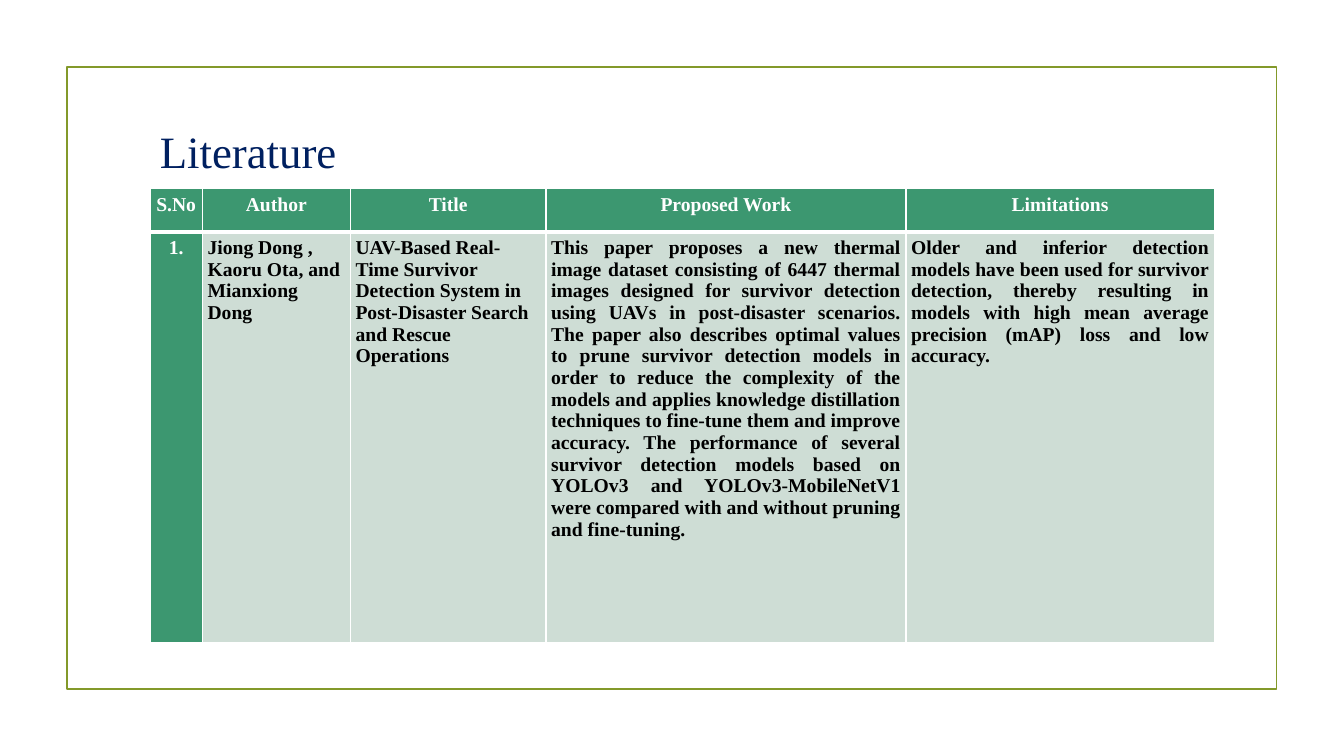
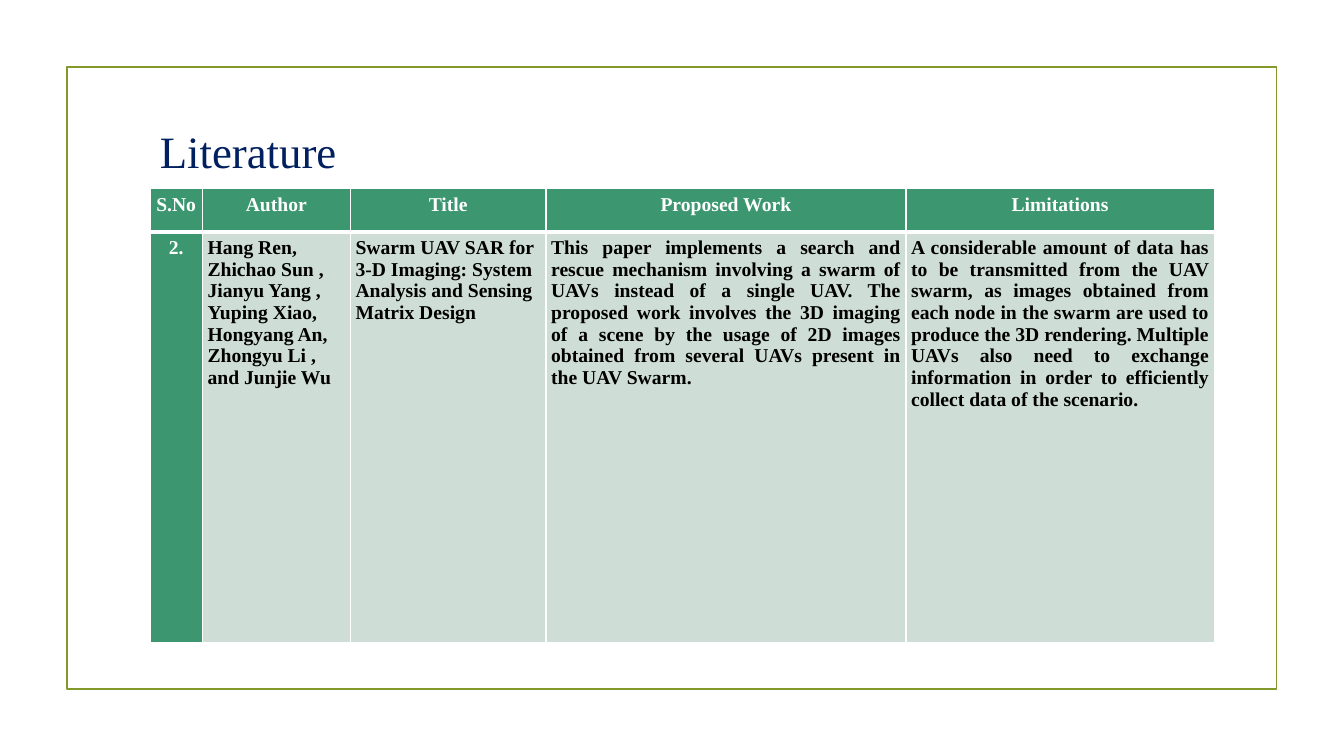
from lxml.etree import SubElement
from pptx import Presentation
from pptx.dml.color import RGBColor
from pptx.enum.shapes import MSO_SHAPE as SHAPE
from pptx.enum.text import PP_ALIGN as ALIGN
from pptx.oxml.ns import qn
from pptx.util import Cm, Pt

FONT = "Times New Roman"
OLIVE = RGBColor(0x83, 0x99, 0x2A)
NAVY = RGBColor(0x00, 0x20, 0x60)
GREEN = RGBColor(0x3C, 0x97, 0x70)
PALE = RGBColor(0xCE, 0xDD, 0xD5)
WHITE = RGBColor(0xFF, 0xFF, 0xFF)
BLACK = RGBColor(0x00, 0x00, 0x00)

HEADINGS = ["S.No", "Author", "Title", "Proposed Work", "Limitations"]
COL_WIDTHS = [1.32, 3.73, 4.93, 9.07, 7.77]
ROW_HEIGHTS = [1.09, 10.36]
BODY_ALIGNS = [ALIGN.CENTER, ALIGN.LEFT, ALIGN.LEFT, ALIGN.JUSTIFY, ALIGN.JUSTIFY]

PAPERS = [
    [
        "1.",
        "Jiong Dong , Kaoru Ota, and Mianxiong Dong",
        "UAV-Based Real-Time Survivor Detection System in Post-Disaster Search "
        "and Rescue Operations",
        "This paper proposes a new thermal image dataset consisting of 6447 thermal "
        "images designed for survivor detection using UAVs in post-disaster scenarios. "
        "The paper also describes optimal values to prune survivor detection models in "
        "order to reduce the complexity of the models and applies knowledge distillation "
        "techniques to fine-tune them and improve accuracy. The performance of several "
        "survivor detection models based on YOLOv3 and YOLOv3-MobileNetV1 were compared "
        "with and without pruning and fine-tuning.",
        "Older and inferior detection models have been used for survivor detection, "
        "thereby resulting in models with high mean average precision (mAP) loss and "
        "low accuracy.",
    ],
    [
        "2.",
        "Hang Ren, Zhichao Sun , Jianyu Yang , Yuping Xiao, Hongyang An, "
        "Zhongyu Li , and Junjie Wu",
        "Swarm UAV SAR for 3-D Imaging: System Analysis and Sensing Matrix Design",
        "This paper implements a search and rescue mechanism involving a swarm of UAVs "
        "instead of a single UAV. The proposed work involves the 3D imaging of a scene "
        "by the usage of 2D images obtained from several UAVs present in the UAV Swarm.",
        "A considerable amount of data has to be transmitted from the UAV swarm, as "
        "images obtained from each node in the swarm are used to produce the 3D "
        "rendering. Multiple UAVs also need to exchange information in order to "
        "efficiently collect data of the scenario.",
    ],
]


def add_run(p, text, size, color, bold=False):
    r = p.add_run()
    r.text = text
    r.font.name = FONT
    r.font.size = Pt(size)
    r.font.bold = bold
    r.font.color.rgb = color


def set_borders(cell, top, bottom):
    tcPr = cell._tc.get_or_add_tcPr()
    for side, width in zip("LRTB", [1, 1, top, bottom]):
        ln = SubElement(tcPr, qn(f"a:ln{side}"), w=str(Pt(width)))
        fill = SubElement(ln, qn("a:solidFill"))
        SubElement(fill, qn("a:srgbClr"), val=str(WHITE))


prs = Presentation()
prs.slide_width = Cm(33.87)
prs.slide_height = Cm(19.05)

for paper in PAPERS:
    s = prs.slides.add_slide(prs.slide_layouts[6])

    frame = s.shapes.add_shape(SHAPE.RECTANGLE, Cm(1.69), Cm(1.69), Cm(30.48), Cm(15.67))
    frame.shadow.inherit = False
    frame.fill.background()
    frame.line.color.rgb = OLIVE
    frame.line.width = Pt(1.25)

    title = s.shapes.add_textbox(Cm(3.78), Cm(3), Cm(8.1), Cm(1.63))
    title.text_frame.word_wrap = True
    add_run(title.text_frame.paragraphs[0], "Literature", 32, NAVY)

    table = s.shapes.add_table(
        2, len(HEADINGS), Cm(3.78), Cm(4.75), Cm(sum(COL_WIDTHS)), Cm(sum(ROW_HEIGHTS))
    ).table
    for column, width in zip(table.columns, COL_WIDTHS):
        column.width = Cm(width)
    for row, height in zip(table.rows, ROW_HEIGHTS):
        row.height = Cm(height)

    for i, texts in enumerate([HEADINGS, paper]):
        for j, text in enumerate(texts):
            header = i == 0
            dark = header or j == 0
            cell = table.cell(i, j)
            cell.margin_left = cell.margin_right = Cm(0.13)
            cell.margin_top = cell.margin_bottom = Cm(0.13)
            set_borders(cell, 1 if header else 3, 3 if header else 1)
            cell.fill.solid()
            cell.fill.fore_color.rgb = GREEN if dark else PALE
            p = cell.text_frame.paragraphs[0]
            p.alignment = ALIGN.CENTER if header else BODY_ALIGNS[j]
            add_run(p, text, 14, WHITE if dark else BLACK, bold=True)

prs.save("out.pptx")
